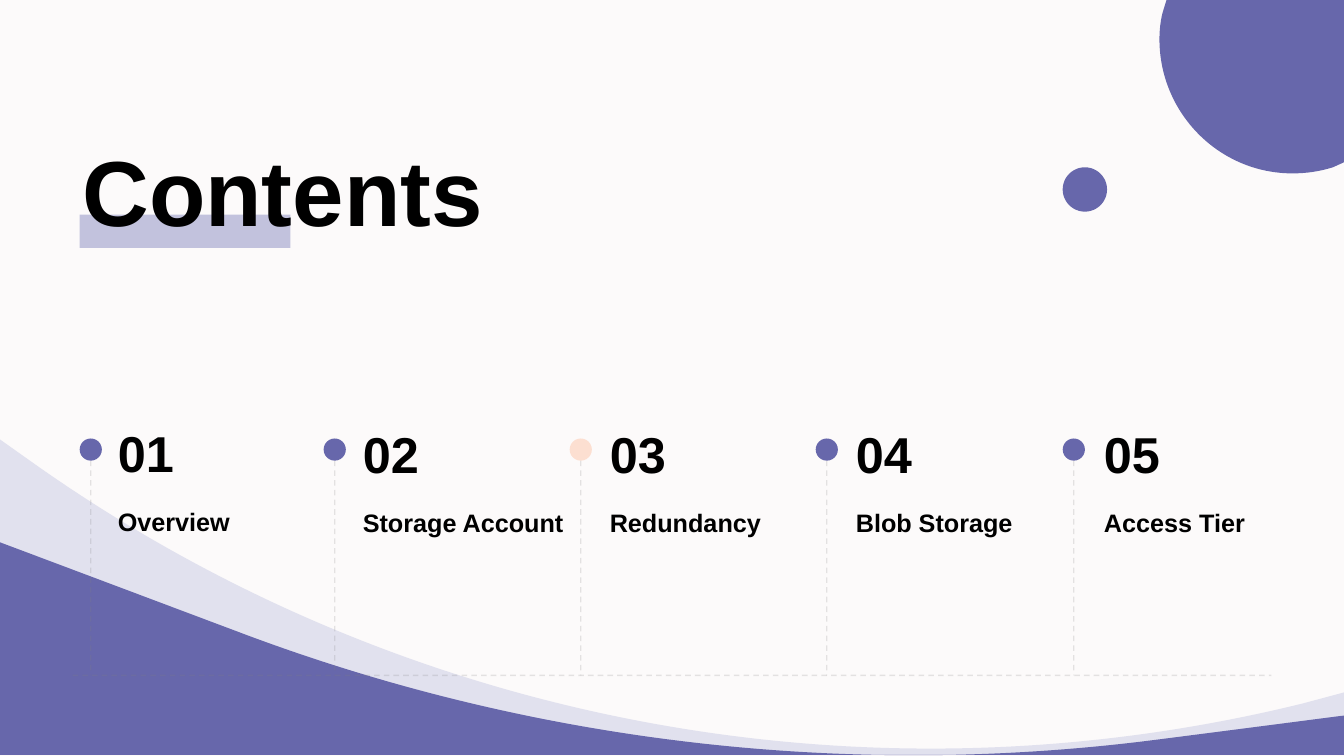
from pptx import Presentation
from pptx.dml.color import RGBColor
from pptx.enum.dml import MSO_LINE
from pptx.enum.shapes import MSO_CONNECTOR, MSO_SHAPE
from pptx.enum.text import MSO_ANCHOR, MSO_AUTO_SIZE
from pptx.oxml.ns import qn
from pptx.util import Emu, Pt
from lxml.etree import SubElement

SCALE = 9144
WIDTH, HEIGHT = 1333, 750
PURPLE, LAVENDER, MIST = "6767AB", "C2C2DD", "E1E1EE"
PEACH, GRAY, BLACK, PAPER = "FEA173", "808080", "000000", "FCFAFA"

CHAPTERS = [
    ("01", "Overview", 79, 28, -22, PURPLE, 100),
    ("02", "Storage Account", 321, 29, -21, PURPLE, 100),
    ("03", "Redundancy", 565, 30, -21, PEACH, 30),
    ("04", "Blob Storage", 809, 30, -21, PURPLE, 100),
    ("05", "Access Tier", 1054, 31, -21, PURPLE, 100),
]


def px(length):
    return Emu(length * SCALE)


def rgb(color):
    return RGBColor.from_string(color)


def paint(fill, color, opacity=100):
    fill.solid()
    fill.fore_color.rgb = rgb(color)
    if opacity < 100:
        for color_node in fill._xPr.iter(qn("a:srgbClr")):
            SubElement(color_node, qn("a:alpha"), val=str(opacity * 1000))


def finish(shape, color, opacity=100):
    paint(shape.fill, color, opacity)
    shape.line.fill.background()
    shape.shadow.inherit = False


def add_preset(slide, kind, box, color, opacity=100):
    shape = slide.shapes.add_shape(kind, *map(px, box))
    finish(shape, color, opacity)


def add_dashes(slide, x1, y1, x2, y2):
    dashes = slide.shapes.add_connector(
        MSO_CONNECTOR.STRAIGHT, px(x1), px(y1), px(x2), px(y2))
    dashes.line.width = Pt(1)
    paint(dashes.line.fill, GRAY, 20)
    dashes.line.dash_style = MSO_LINE.DASH
    SubElement(dashes._element.spPr, qn("a:effectLst"))


def add_words(slide, box, words, size, anchor=MSO_ANCHOR.BOTTOM, wrap=True):
    frame = slide.shapes.add_textbox(*map(px, box)).text_frame
    frame.text = words
    frame.word_wrap = wrap
    frame.auto_size = MSO_AUTO_SIZE.NONE
    frame.vertical_anchor = anchor
    font = frame.paragraphs[0].runs[0].font
    font.name, font.size, font.bold = "Arial", Pt(size), True
    font.color.rgb = rgb(BLACK)


def bend(step, controls):
    step.tag = qn("a:cubicBezTo")
    for position, (x, y) in enumerate(controls):
        handle = SubElement(step, qn("a:pt"), x=str(x), y=str(y))
        step.insert(position, handle)


def add_outline(slide, left, top, start, segments, color):
    def place(point):
        return px(left + point[0]), px(top + point[1])

    builder = slide.shapes.build_freeform(*place(start))
    builder.add_line_segments([place(segment[-1]) for segment in segments], close=True)
    outline = builder.convert_to_shape()
    steps = list(outline._element.iter(qn("a:lnTo")))
    for step, segment in zip(steps, segments):
        controls = [place(point) for point in segment[:-1]]
        if controls:
            bend(step, [(x - outline.left, y - outline.top) for x, y in controls])
    finish(outline, color)


def draw_waves(slide, left, top, width, height):
    add_outline(slide, left, top, (0, 0), [
        [(31, 22)],
        [(397, 282), (857, 369), (1292, 262)],
        [(width, 251)], [(width, height)], [(0, height)],
    ], MIST)
    add_outline(slide, left, top, (0, 102), [
        [(242, 193)],
        [(530, 301), (841, 337), (1146, 298)],
        [(1310, 277), (1331, 274), (width, 274)],
        [(width, height)], [(0, height)],
    ], PURPLE)


def draw_corner(slide, left, top):
    add_outline(slide, left, top, (103, 0), [
        [(279, 0)], [(279, 161)], [(268, 166)],
        [(255, 170), (242, 172), (228, 172)],
        [(155, 172), (96, 112), (96, 39)],
        [(96, 30), (97, 21), (99, 13)],
    ], PURPLE)
    add_preset(slide, MSO_SHAPE.OVAL, (left, top + 166, 44, 44), PURPLE)


def draw_title(slide, left, top, width, height):
    add_preset(slide, MSO_SHAPE.RECTANGLE, (left + 7, top + 85, 209, 33), LAVENDER)
    add_words(slide, (left, top, width, height), "Contents", 66, MSO_ANCHOR.TOP)


def draw_chapter(slide, left, top, chapter):
    number, name, _, indent, rise, color, opacity = chapter
    add_dashes(slide, left + 11, top + 22, left + 11, top + 235)
    add_preset(slide, MSO_SHAPE.OVAL, (left, top, 22, 22), color, opacity)
    add_words(slide, (left + indent, top + rise + 70, 197, 54), name, 18, wrap=False)
    add_words(slide, (left + indent, top + rise, 155, 71), number, 36)


def draw_timeline(slide, left, top, width):
    add_dashes(slide, left, top + 235, left + width, top + 235)
    for chapter in CHAPTERS:
        draw_chapter(slide, chapter[2], top, chapter)


def main():
    deck = Presentation()
    deck.slide_width, deck.slide_height = px(WIDTH), px(HEIGHT)
    slide = deck.slides.add_slide(deck.slide_layouts[6])
    paint(slide.background.fill, PAPER)
    draw_waves(slide, 0, 436, WIDTH, 313)
    draw_corner(slide, 1054, 0)
    draw_timeline(slide, 72, 435, 1189)
    draw_title(slide, 72, 128, 457, 187)
    deck.save("out.pptx")


if __name__ == "__main__":
    main()
